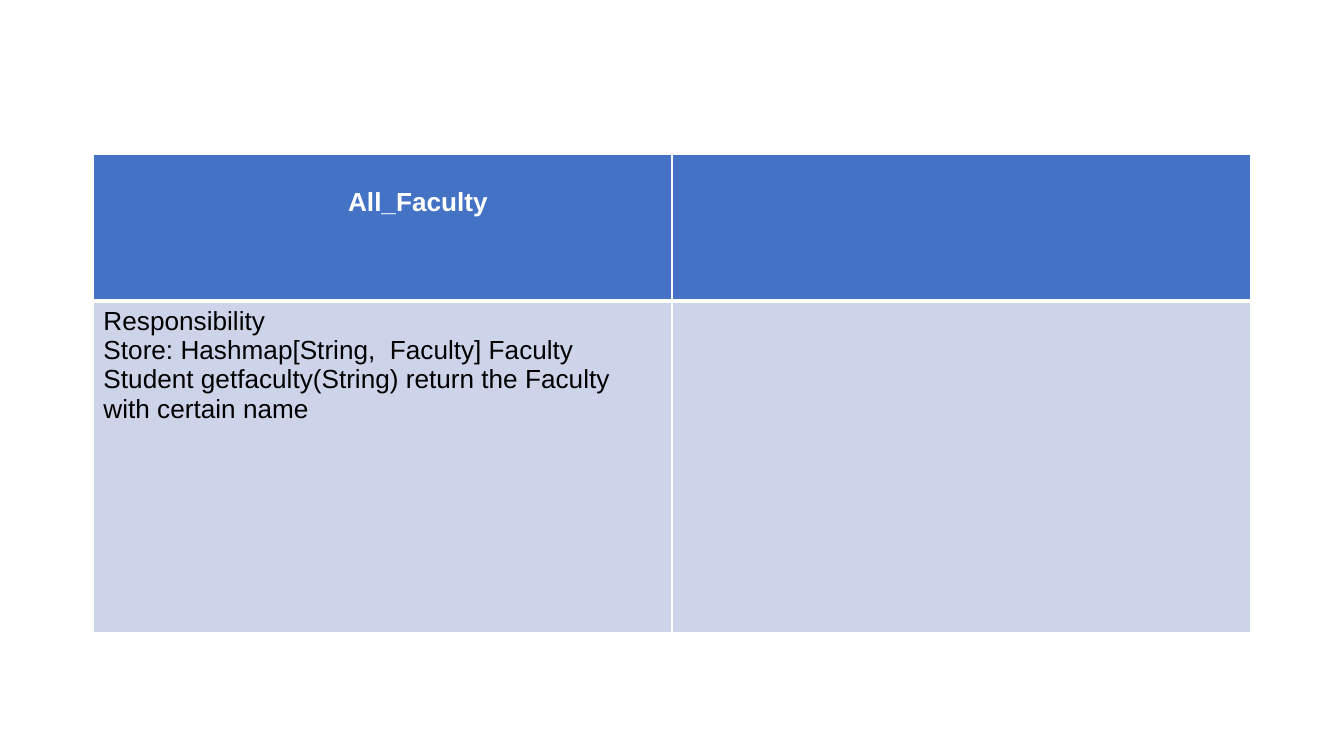
"""Build a class card slide for All_Faculty with its responsibilities."""
from lxml.etree import SubElement
from pptx import Presentation
from pptx.dml.color import RGBColor
from pptx.oxml.ns import qn
from pptx.util import Inches, Pt

COLOURS = {"header": "4472C4", "body": "CDD4EA", "white": "FFFFFF", "black": "000000"}
RESPONSIBILITIES = [
    "Responsibility",
    "Store: Hashmap[String,  Faculty] Faculty",
    "Student getfaculty(String) return the Faculty with certain name",
]


def write(paragraph, text, *, size=14, colour="black", bold=False, font="Arial"):
    run = paragraph.add_run()
    run.text = text
    run.font.name = font
    run.font.size = Pt(size)
    run.font.bold = bold
    run.font.color.rgb = RGBColor.from_string(COLOURS[colour])


class CardSlide:
    def __init__(self, slide):
        self.slide = slide
        self.thin = 1
        self.thick = 3

    def table(self, left, top, widths, heights):
        frame = self.slide.shapes.add_table(
            len(heights), len(widths), Inches(left), Inches(top),
            Inches(sum(widths)), Inches(sum(heights)))
        grid = frame.table
        for column, width in zip(grid.columns, widths):
            column.width = Inches(width)
        for row, height in zip(grid.rows, heights):
            row.height = Inches(height)
        return grid

    def style_cell(self, cell, fill, top, bottom):
        cell.margin_left = cell.margin_right = Inches(0.08)
        cell.margin_top = cell.margin_bottom = Inches(0.04)
        properties = cell._tc.get_or_add_tcPr()
        edges = {"L": self.thin, "R": self.thin, "T": top, "B": bottom}
        for side, width in edges.items():
            line = SubElement(properties, qn(f"a:ln{side}"), w=str(Pt(width)))
            solid = SubElement(line, qn("a:solidFill"))
            SubElement(solid, qn("a:srgbClr"), val=COLOURS["white"])
        cell.fill.solid()
        cell.fill.fore_color.rgb = RGBColor.from_string(COLOURS[fill])

    def fill_cell(self, cell, lines, **style):
        frame = cell.text_frame
        for index, line in enumerate(lines):
            paragraph = frame.add_paragraph() if index else frame.paragraphs[0]
            write(paragraph, line, **style)


def main():
    deck = Presentation()
    deck.slide_width = Inches(10)
    deck.slide_height = deck.slide_width * 9 // 16
    card = CardSlide(deck.slides.add_slide(deck.slide_layouts[6]))

    grid = card.table(0.69, 1.15, widths=[4.31, 4.31], heights=[1.09, 2.47])
    for column in range(2):
        card.style_cell(grid.cell(0, column), "header", card.thin, card.thick)
        card.style_cell(grid.cell(1, column), "body", card.thick, card.thin)

    class_name = grid.cell(0, 0)
    class_name.margin_left = Inches(1.9)
    class_name.margin_top = Inches(0.25)
    card.fill_cell(class_name, ["All_Faculty"], colour="white", bold=True)
    card.fill_cell(grid.cell(1, 0), RESPONSIBILITIES)

    deck.save("out.pptx")


if __name__ == "__main__":
    main()
